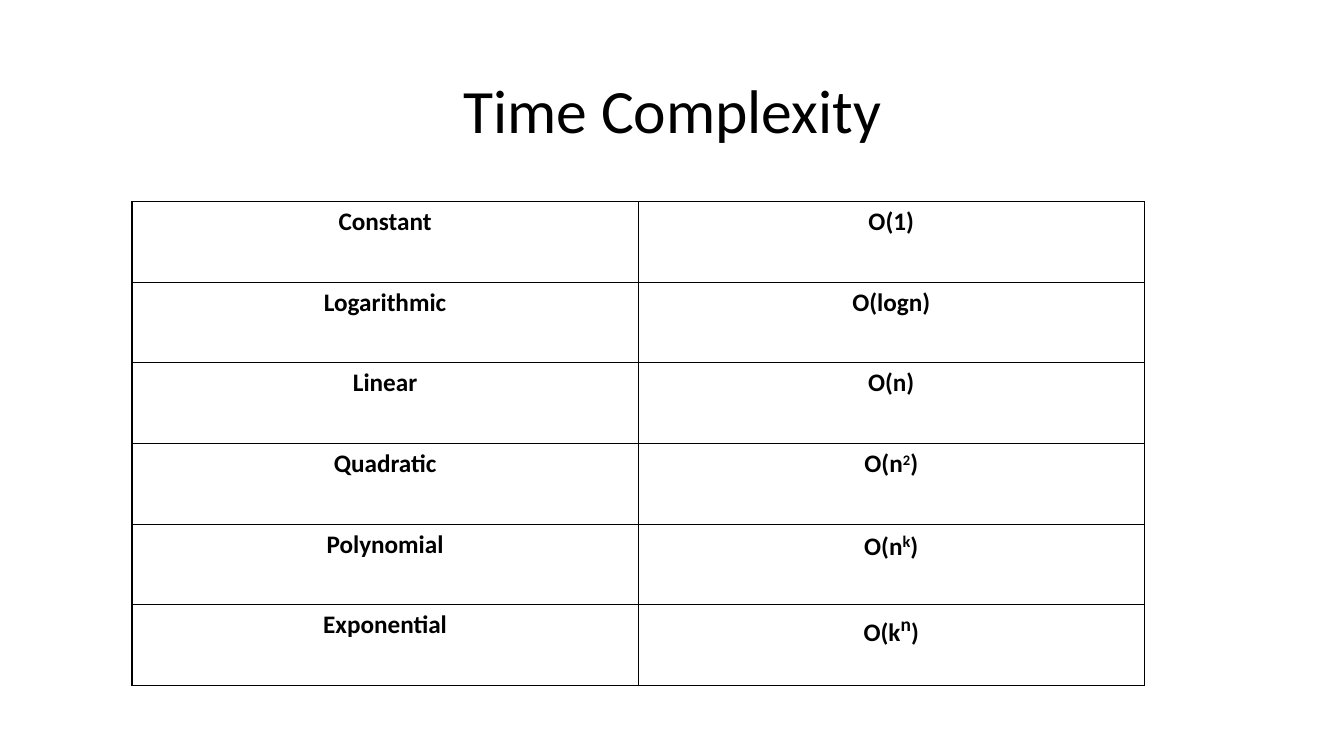
from dataclasses import dataclass

from lxml.etree import SubElement
from pptx import Presentation
from pptx.dml.color import RGBColor
from pptx.enum.text import MSO_ANCHOR as Anchor, PP_ALIGN as Align
from pptx.oxml.ns import qn
from pptx.util import Inches, Pt


@dataclass(frozen=True)
class Theme:
    font: str = "Calibri"
    ink: str = "000000"
    title_size: int = 44
    body_size: int = 18
    border_width: int = 1


THEME = Theme()

COMPLEXITIES = [
    ("Constant", "O(1)", None, None),
    ("Logarithmic", "O(logn)", None, None),
    ("Linear", "O(n)", None, None),
    ("Quadratic", "O(n", "2", 18),
    ("Polynomial", "O(n", "k", 20),
    ("Exponential", "O(k", "n", 24),
]


def add_text(paragraph, text, size=THEME.body_size, bold=False, superscript=False):
    paragraph.alignment = Align.CENTER
    run = paragraph.add_run()
    run.text = text
    run.font.name = THEME.font
    run.font.size = Pt(size)
    run.font.bold = bold
    run.font.color.rgb = RGBColor.from_string(THEME.ink)
    if superscript:
        run.font._element.set("baseline", "30000")


def add_title(slide, text):
    title = slide.shapes.title
    title.left, title.top = Inches(0.92), Inches(0.4)
    title.width, title.height = Inches(11.5), Inches(1.45)
    title.text_frame.vertical_anchor = Anchor.MIDDLE
    paragraph = title.text_frame.paragraphs[0]
    paragraph.line_spacing = 0.9
    add_text(paragraph, text, size=THEME.title_size)


def format_cell(cell):
    properties = cell._tc.get_or_add_tcPr()
    for side in ("a:lnL", "a:lnR", "a:lnT", "a:lnB"):
        line = SubElement(properties, qn(side), w=str(Pt(THEME.border_width)))
        fill = SubElement(line, qn("a:solidFill"))
        SubElement(fill, qn("a:srgbClr"), val=THEME.ink)
    cell.fill.background()
    cell.vertical_anchor = Anchor.TOP


def add_complexity_table(slide):
    frame = slide.shapes.add_table(
        len(COMPLEXITIES), 2, Inches(1.31), Inches(2), Inches(10.04), Inches(4.8)
    )
    table = frame.table
    table.first_row = False
    table.horz_banding = False
    for row, (name, order, exponent, exponent_size) in zip(table.rows, COMPLEXITIES):
        name_cell, order_cell = row.cells
        format_cell(name_cell)
        format_cell(order_cell)
        add_text(name_cell.text_frame.paragraphs[0], name, bold=True)
        paragraph = order_cell.text_frame.paragraphs[0]
        add_text(paragraph, order, bold=True)
        if exponent:
            add_text(paragraph, exponent, size=exponent_size, bold=True, superscript=True)
            add_text(paragraph, ")", bold=True)


def main():
    presentation = Presentation()
    presentation.slide_width = Inches(13.33)
    presentation.slide_height = Inches(7.5)
    slide = presentation.slides.add_slide(presentation.slide_layouts[5])
    add_title(slide, "Time Complexity")
    add_complexity_table(slide)
    presentation.save("out.pptx")


if __name__ == "__main__":
    main()
